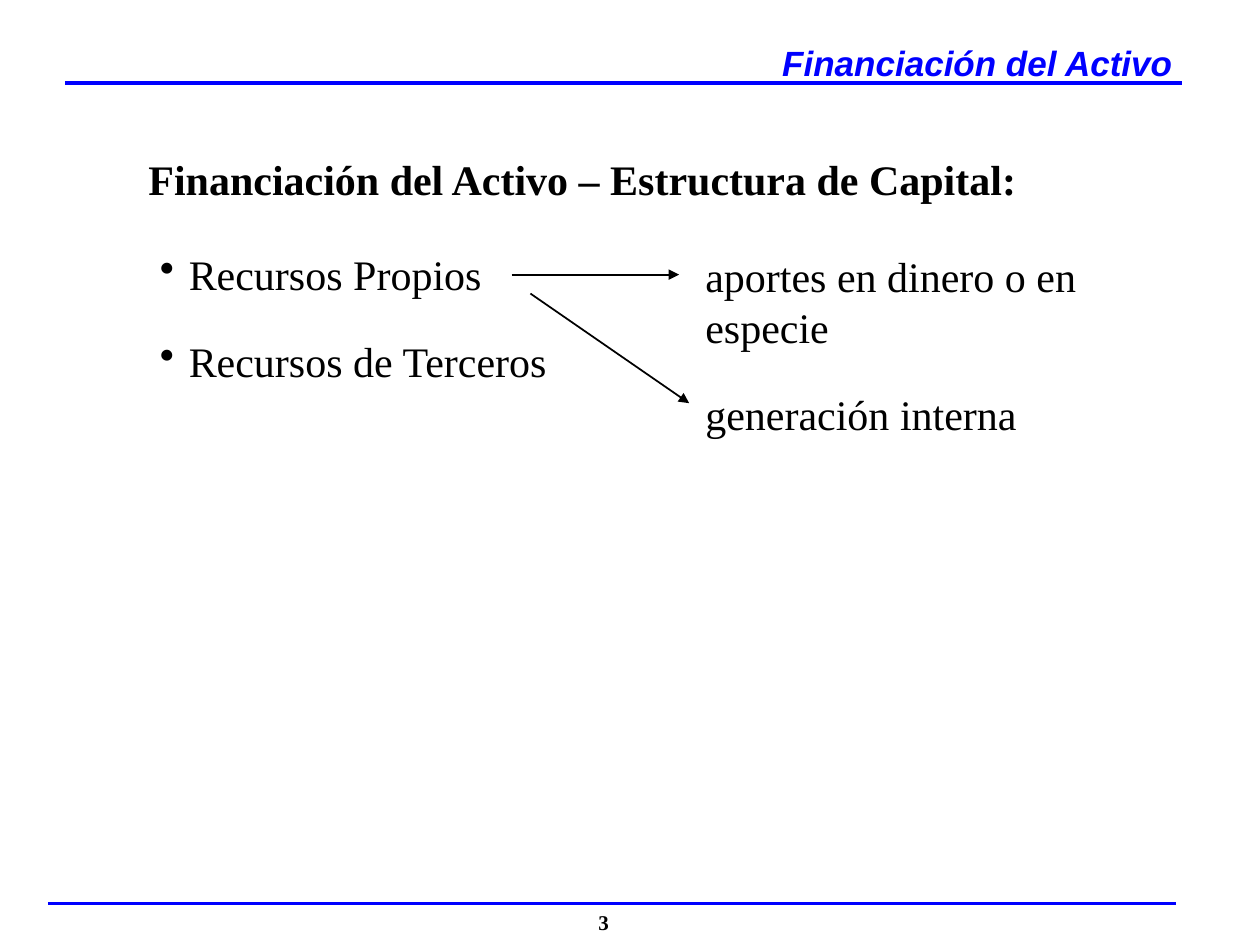
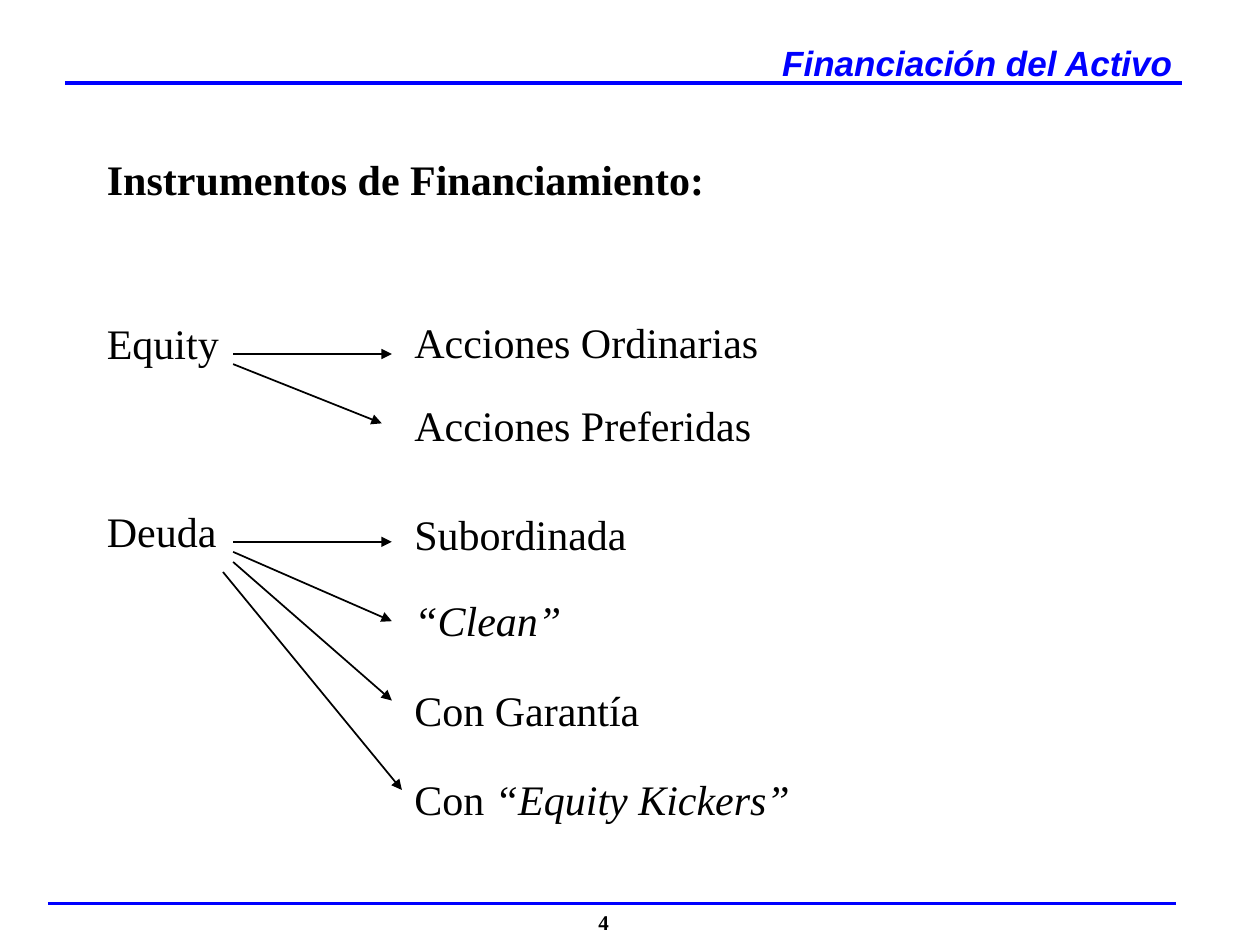
from collections import namedtuple

from lxml import etree
from pptx import Presentation
from pptx import util as u
from pptx.dml.color import RGBColor
from pptx.enum import shapes, text
from pptx.oxml import ns

COLORS = {"accent": "0000FF", "ink": "000000"}
SERIF, SANS = "Times New Roman", "Arial"
COLS, ROWS = 100, 75
LINE_H = 5

Box = namedtuple("Box", "x y w h")
Run = namedtuple("Run", "text bold italic", defaults=(False, False))

prs = Presentation()
prs.slide_width, prs.slide_height = u.Inches(10), u.Inches(7.5)
CELL_W, CELL_H = prs.slide_width / COLS, prs.slide_height / ROWS


def emu(box, x, y):
    return round((box.x + x) * CELL_W), round((box.y + y) * CELL_H)


def child(parent, tag, **attrs):
    return etree.SubElement(parent, ns.qn(tag), attrs)


def add_text(s, box, x, y, w, h, paras, size=24, font=SERIF, color="ink",
             align=text.PP_ALIGN.LEFT, gap=0, bullet=False, wrap=True):
    sp = s.shapes.add_textbox(*emu(box, x, y), round(w * CELL_W), round(h * CELL_H))
    tf = sp.text_frame
    tf.word_wrap = wrap
    tf.auto_size = text.MSO_AUTO_SIZE.SHAPE_TO_FIT_TEXT
    for i, runs in enumerate(paras):
        p = tf.add_paragraph() if i else tf.paragraphs[0]
        p.alignment = align
        if i:
            p.space_before = u.Pt(gap)
        if bullet:
            pPr = p._p.get_or_add_pPr()
            indent = u.Inches(0.23)
            pPr.set("marL", str(indent))
            pPr.set("indent", str(-indent))
            child(pPr, "a:buChar", char="•")
        for run in runs:
            r = p.add_run()
            r.text = run.text
            r.font.name, r.font.size = font, u.Pt(size)
            r.font.bold, r.font.italic = run.bold, run.italic
            r.font.color.rgb = RGBColor.from_string(COLORS[color])


def add_line(s, box, start, end, color="ink", width=1, arrow=False):
    ln = s.shapes.add_connector(
        shapes.MSO_CONNECTOR.STRAIGHT, *emu(box, *start), *emu(box, *end))
    ln.line.color.rgb = RGBColor.from_string(COLORS[color])
    ln.line.width = u.Pt(width)
    if arrow:
        child(ln.line._get_or_add_ln(), "a:tailEnd", type="triangle")
    child(ln._element.spPr, "a:effectLst")


def header(s, box, title):
    add_line(s, box, (5.2, 6.6), (93.8, 6.6), "accent", 2)
    add_text(s, box, 61.1, 2.8, 33.1, 4.3, [[Run(title, True, True)]],
             size=20, font=SANS, color="accent", wrap=False)


def footer(s, box, number):
    add_line(s, box, (3.8, 0), (93.3, 0), "accent", 2)
    add_text(s, box, 3.3, 0, 89.2, 3, [[Run(str(number), True)]],
             size=12, align=text.PP_ALIGN.CENTER)


def heading(s, box, title):
    add_text(s, box, 0, 0, box.w, box.h, [[Run(title, True)]])


def capital_sources(s, box, sources, origins):
    add_text(s, box, 0, 0, 34.4, 11.9, [[Run(t)] for t in sources], gap=21, bullet=True)
    add_text(s, box, 43.3, 0.2, 34.4, 15.9, [[Run(t)] for t in origins], gap=21)
    add_line(s, box, (28.9, 2.6), (42.2, 2.6), arrow=True)
    add_line(s, box, (30.4, 4.1), (43, 12.8), arrow=True)


def branch(s, box, label, items):
    add_text(s, box, 0, 0, 11, LINE_H, [[Run(label)]])
    for i, (runs, row, start_x, tip) in enumerate(items):
        add_text(s, box, 24.4, row, 37.8, LINE_H, [runs])
        add_line(s, box, (start_x, 3.4 + 0.8 * i), tip, arrow=True)


def base_slide(number):
    s = prs.slides.add_slide(prs.slide_layouts[6])
    header(s, Box(0, 0, COLS, 10), "Financiación del Activo")
    footer(s, Box(0, 71.7, COLS, 3.3), number)
    return s


def capital_slide(number):
    s = base_slide(number)
    heading(s, Box(10.8, 11.7, 81.7, LINE_H),
            "Financiación del Activo – Estructura de Capital:")
    capital_sources(s, Box(11.7, 19.2, 77.7, 16.1),
                    ["Recursos Propios", "Recursos de Terceros"],
                    ["aportes en dinero o en especie", "generación interna"])


def instruments_slide(number):
    s = base_slide(number)
    heading(s, Box(7.5, 11.7, 89.2, LINE_H), "Instrumentos de Financiamiento:")
    branch(s, Box(7.5, 24.7, 62.2, 11.5), "Equity", [
        ([Run("Acciones Ordinarias")], -0.1, 11, (23.6, 3.4)),
        ([Run("Acciones Preferidas")], 6.5, 11, (22.8, 8.9)),
    ])
    branch(s, Box(7.5, 39.6, 62.2, 26.3), "Deuda", [
        ([Run("Subordinada")], 0.3, 11, (23.6, 3.4)),
        ([Run("“Clean”", italic=True)], 7.1, 11, (23.6, 9.7)),
        ([Run("Con Garantía")], 14.2, 11, (23.6, 16)),
        ([Run("Con "), Run("“Equity Kickers”", italic=True)], 21.3, 10.2, (24.4, 23.1)),
    ])


def main():
    for number, build in enumerate((capital_slide, instruments_slide), start=3):
        build(number)
    prs.save("out.pptx")


if __name__ == "__main__":
    main()
